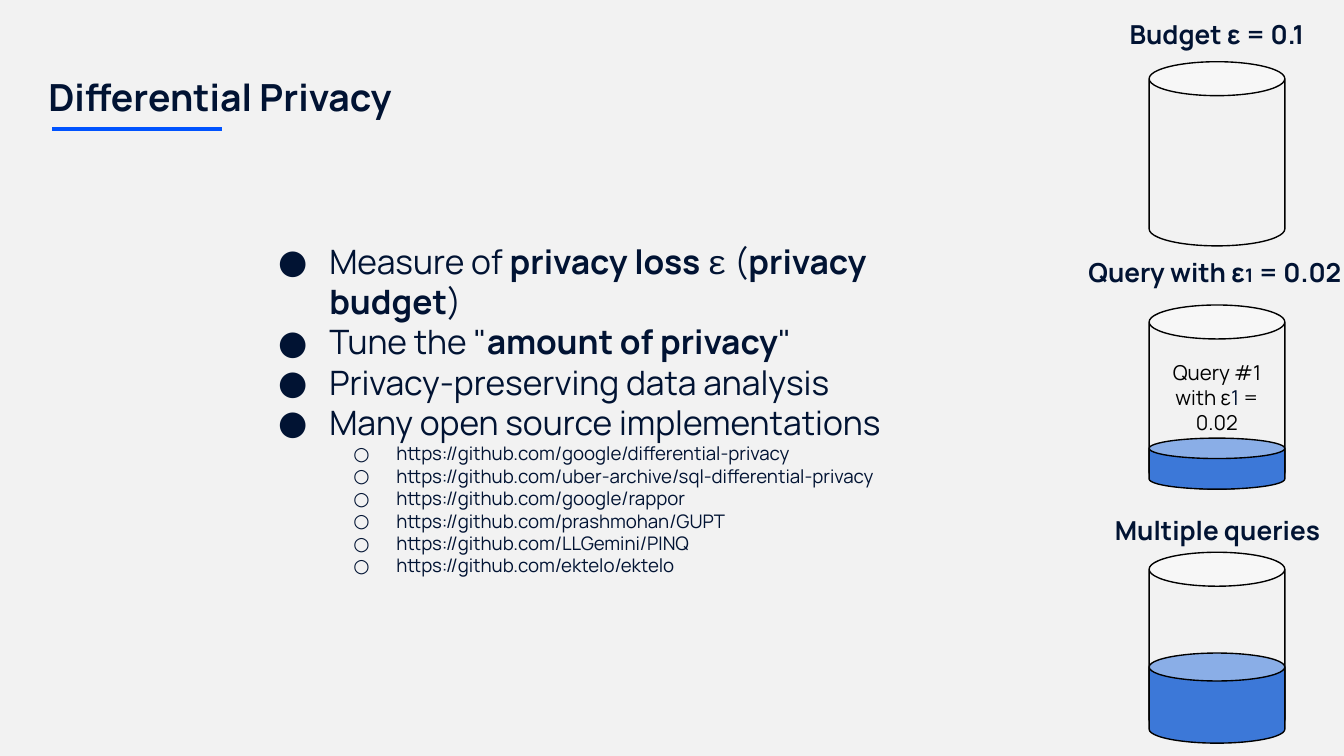
from lxml import etree
from pptx import Presentation
from pptx.dml.color import RGBColor
from pptx.enum.shapes import MSO_CONNECTOR, MSO_SHAPE
from pptx.enum.text import PP_ALIGN
from pptx.oxml.ns import qn
from pptx.util import Inches, Pt

CAN = MSO_SHAPE.CAN
STRAIGHT = MSO_CONNECTOR.STRAIGHT
CENTER = PP_ALIGN.CENTER

NAVY, BLACK, ACCENT = "011333", "000000", "0053FF"
PAPER, LIQUID = "F2F2F2", "3C78D8"
FONT, EPSILON_FONT = "Manrope", "Courier New"

CAN_LEFT, CAN_WIDTH, CAN_HEIGHT = 8.55, 1.01, 1.37
LABEL_LEFT, LABEL_WIDTH = 7.88, 2.36

# Each run is (text, bold, font)
POINTS = [
    [("Measure of ", False, FONT), ("privacy loss ", True, FONT),
     ("ε", False, EPSILON_FONT), (" (", False, FONT),
     ("privacy budget", True, FONT), (")", False, FONT)],
    [('Tune the "', False, FONT), ("amount of privacy", True, FONT),
     ('"', False, FONT)],
    [("Privacy-preserving data analysis", False, FONT)],
    [("Many open source implementations", False, FONT)],
]
REPOSITORIES = [
    "google/differential-privacy",
    "uber-archive/sql-differential-privacy",
    "google/rappor",
    "prashmohan/GUPT",
    "LLGemini/PINQ",
    "ektelo/ektelo",
]


def rgb(hex_color):
    return RGBColor.from_string(hex_color)


def add_run(paragraph, text, size, color=NAVY, bold=False, font=FONT):
    run = paragraph.add_run()
    run.text = text
    run.font.name = font
    run.font.size = Pt(size)
    run.font.bold = bold
    run.font.color.rgb = rgb(color)


def add_text_frame(slide, left, top, width, height, left_inset=0.1):
    box = slide.shapes.add_textbox(
        Inches(left), Inches(top), Inches(width), Inches(height))
    frame = box.text_frame
    frame.word_wrap = True
    frame.margin_left = Inches(left_inset)
    frame.margin_top = frame.margin_right = frame.margin_bottom = Inches(0.1)
    return frame


def add_title(slide, text):
    rule = slide.shapes.add_connector(
        STRAIGHT, Inches(0.39), Inches(0.96), Inches(1.65), Inches(0.96))
    rule.line.color.rgb = rgb(ACCENT)
    rule.line.width = Pt(2.25)
    etree.SubElement(rule._element.spPr, qn("a:effectLst"))
    frame = add_text_frame(slide, 0.3, 0.45, 7.33, 0.4, left_inset=0.06)
    add_run(frame.paragraphs[0], text, 20, bold=True)


def set_bullet(paragraph, char, margin, indent, level=0):
    paragraph.level = level
    properties = paragraph._p.get_or_add_pPr()
    properties.set("marL", str(Inches(margin)))
    properties.set("indent", str(Inches(indent)))
    color = etree.SubElement(properties, qn("a:buClr"))
    etree.SubElement(color, qn("a:srgbClr"), val=NAVY)
    etree.SubElement(properties, qn("a:buFont"), typeface=FONT)
    etree.SubElement(properties, qn("a:buChar"), char=char)


def add_body(slide):
    frame = add_text_frame(slide, 1.95, 1.69, 5.09, 2.67, left_inset=0)
    for index, point in enumerate(POINTS):
        paragraph = frame.add_paragraph() if index else frame.paragraphs[0]
        set_bullet(paragraph, "●", 0.5, -0.38)
        for text, bold, font in point:
            add_run(paragraph, text, 18, bold=bold, font=font)
    for repository in REPOSITORIES:
        paragraph = frame.add_paragraph()
        set_bullet(paragraph, "○", 1, -0.32, level=1)
        add_run(paragraph, "https://github.com/" + repository, 10)


def add_can(slide, top, height=CAN_HEIGHT, rim=0.25, color=PAPER):
    can = slide.shapes.add_shape(
        CAN, Inches(CAN_LEFT), Inches(top), Inches(CAN_WIDTH), Inches(height))
    can.adjustments[0] = rim
    can.shadow.inherit = False
    can.fill.solid()
    can.fill.fore_color.rgb = rgb(color)
    can.line.color.rgb = rgb(BLACK)
    can.line.width = Pt(0.75)


def add_label(slide, top, runs, left=LABEL_LEFT, width=LABEL_WIDTH,
              line_spacing=1.15, space_after=16):
    """Add a centred can heading; runs are (text, size) pairs."""
    frame = add_text_frame(slide, left, top, width, 0.31)
    paragraph = frame.paragraphs[0]
    paragraph.alignment = CENTER
    paragraph.line_spacing = line_spacing
    paragraph.space_after = Pt(space_after)
    for text, size in runs:
        add_run(paragraph, text, size, bold=True)


def add_query_note(slide):
    frame = add_text_frame(slide, CAN_LEFT, 2.58, CAN_WIDTH, 0.51)
    paragraph = frame.paragraphs[0]
    paragraph.alignment = CENTER
    for text, color in [("Query #1 with ε", BLACK), ("1", NAVY),
                        (" = 0.02", BLACK)]:
        add_run(paragraph, text, 11, color)


def main():
    presentation = Presentation()
    presentation.slide_width = Inches(10)
    presentation.slide_height = Inches(10 * 9 / 16)
    slide = presentation.slides.add_slide(presentation.slide_layouts[6])
    slide.background.fill.solid()
    slide.background.fill.fore_color.rgb = rgb(PAPER)

    add_title(slide, "Differential Privacy")
    add_body(slide)

    add_can(slide, 0.46)
    add_label(slide, 0, [("Budget ε = 0.1", 14)], left=8.25, width=1.61)

    add_can(slide, 2.27)
    add_can(slide, 3.26, height=0.38, rim=0.4, color=LIQUID)
    add_query_note(slide)

    add_can(slide, 4.11)
    add_can(slide, 4.86, height=0.67, rim=0.31, color=LIQUID)

    add_label(slide, 1.81, [("Query with ε", 14), ("1", 10), (" = 0.02 ", 14)],
              line_spacing=1.0, space_after=0)
    add_label(slide, 3.69, [("Multiple queries", 14)])

    presentation.save("out.pptx")


if __name__ == "__main__":
    main()
